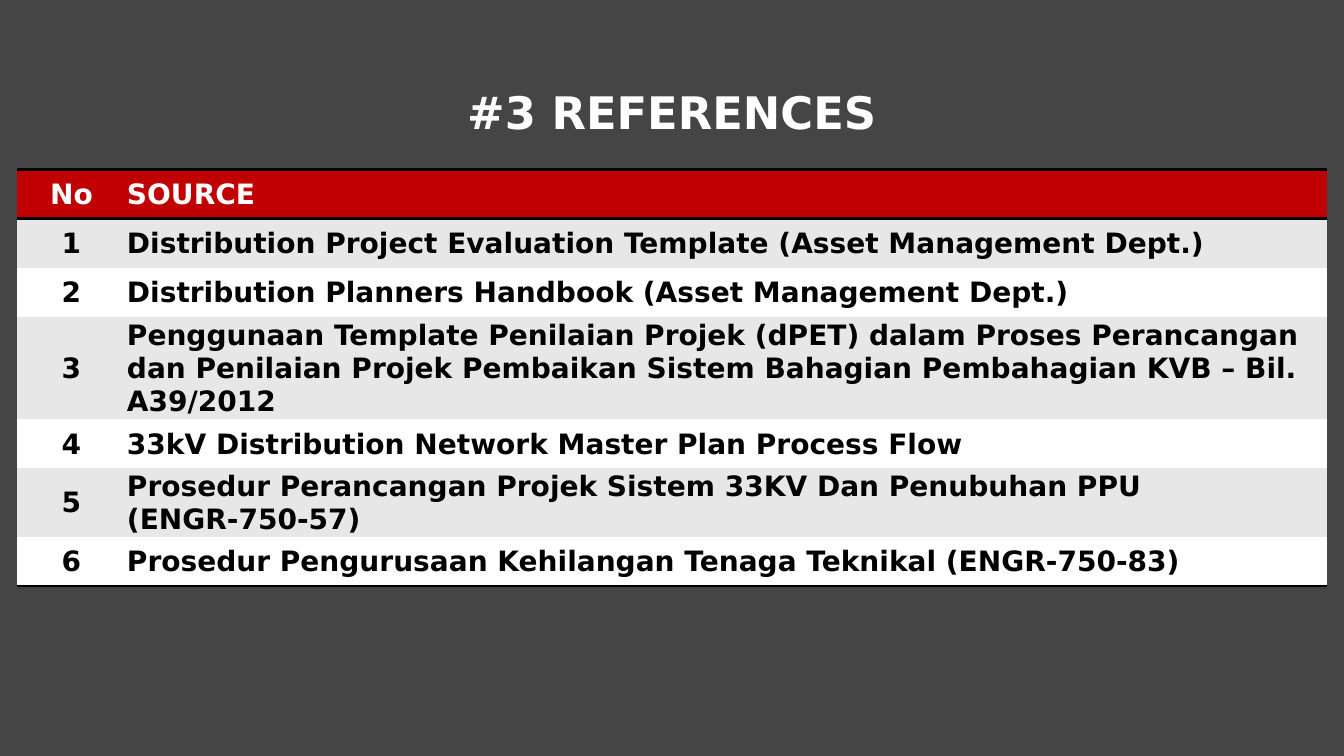
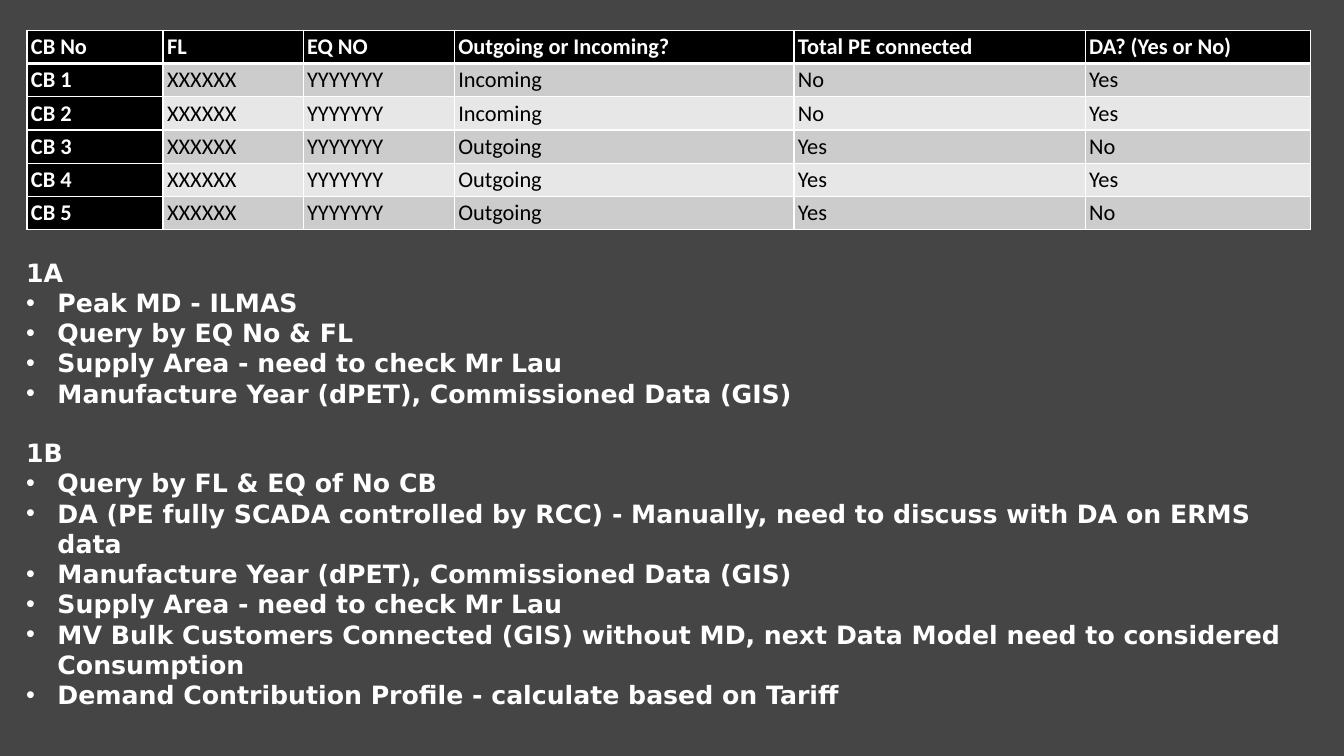
import pptx
import pptx.util
import pptx.dml.color
import pptx.enum.text
import lxml.etree

Cm, Pt = pptx.util.Cm, pptx.util.Pt
RGBColor = pptx.dml.color.RGBColor
MIDDLE = pptx.enum.text.MSO_ANCHOR.MIDDLE
TOP = pptx.enum.text.MSO_ANCHOR.TOP
LEFT = pptx.enum.text.PP_ALIGN.LEFT
CENTER = pptx.enum.text.PP_ALIGN.CENTER

CHARCOAL = RGBColor(0x45, 0x45, 0x45)
RED = RGBColor(0xC0, 0x00, 0x00)
BLACK = RGBColor(0x00, 0x00, 0x00)
WHITE = RGBColor(0xFF, 0xFF, 0xFF)
PALE = RGBColor(0xE7, 0xE7, 0xE7)
GREY = RGBColor(0xCC, 0xCC, 0xCC)
HEADING_FONT = "DejaVu Sans"
GRID_FONT = "Calibri"
A = "{http://schemas.openxmlformats.org/drawingml/2006/main}"
NO_GRID_STYLE = "{2D5ABB26-0587-4C30-8999-92F81FD0307C}"


def add_run(paragraph, text, font_name, size, color, bold=True):
    """Append one formatted run to a paragraph."""
    run = paragraph.add_run()
    run.text = text
    run.font.name = font_name
    run.font.size = Pt(size)
    run.font.color.rgb = color
    run.font.bold = bold


def style_cell(cell, fill, borders, border_color, margins, anchor):
    """Set a cell's borders (side to points, in L R T B order), fill and margins."""
    properties = cell._tc.get_or_add_tcPr()
    for side, points in borders.items():
        line = lxml.etree.SubElement(properties, A + "ln" + side, w=str(Pt(points)))
        solid = lxml.etree.SubElement(line, A + "solidFill")
        lxml.etree.SubElement(solid, A + "srgbClr", val=str(border_color))
    cell.fill.solid()
    cell.fill.fore_color.rgb = fill
    cell.margin_left = cell.margin_right = Cm(margins[0])
    cell.margin_top, cell.margin_bottom = Cm(margins[1]), Cm(margins[2])
    cell.vertical_anchor = anchor


deck = pptx.Presentation()
deck.slide_width, deck.slide_height = Cm(33.87), Cm(19.05)
deck.slide_master.background.fill.solid()
deck.slide_master.background.fill.fore_color.rgb = CHARCOAL
blank = deck.slide_layouts[6]

# References
references_slide = deck.slides.add_slide(blank)
title = references_slide.shapes.add_textbox(0, Cm(2.13), deck.slide_width, Cm(1.52)).text_frame
title.word_wrap = True
title.vertical_anchor = MIDDLE
title.paragraphs[0].alignment = CENTER
title.paragraphs[0].line_spacing = 0.9
add_run(title.paragraphs[0], "#3 REFERENCES", HEADING_FONT, 32, WHITE)

sources = [
    ["Distribution Project Evaluation Template (Asset Management Dept.)"],
    ["Distribution Planners Handbook (Asset Management Dept.)"],
    ["Penggunaan Template Penilaian Projek (dPET) dalam Proses Perancangan dan "
     "Penilaian Projek Pembaikan Sistem Bahagian Pembahagian KVB – Bil. A39/2012"],
    ["33kV Distribution Network Master Plan Process Flow"],
    ["Prosedur Perancangan Projek Sistem 33KV Dan Penubuhan PPU", "(ENGR-750-57)"],
    ["Prosedur Pengurusaan Kehilangan Tenaga Teknikal (ENGR-750-83)"],
]
reference_rows = [(["No"], ["SOURCE"])]
reference_rows += [([str(number)], lines) for number, lines in enumerate(sources, 1)]

# Circuit breakers
breaker_slide = deck.slides.add_slide(blank)
breaker_rows = [["CB No", "FL", "EQ NO", "Outgoing or Incoming?",
                 "Total PE connected", "DA? (Yes or No)"]]
feeders = [("Incoming", "No", "Yes"), ("Incoming", "No", "Yes"),
           ("Outgoing", "Yes", "No"), ("Outgoing", "Yes", "Yes"),
           ("Outgoing", "Yes", "No")]
for number, feeder in enumerate(feeders, 1):
    breaker_rows.append([f"CB {number}", "XXXXXX", "YYYYYYY", *feeder])

# Both tables: slide, rows, left, top, column widths, row height
reference_widths = [2.74, 30.28]
breaker_widths = [3.43, 3.53, 3.81, 8.56, 7.34, 5.67]
grids = []
for slide, rows, left, top, widths, height in [
    (references_slide, reference_rows, 0.43, 4.27, reference_widths, 1.24),
    (breaker_slide, breaker_rows, 0.68, 0.76, breaker_widths, 0.82),
]:
    frame = slide.shapes.add_table(len(rows), len(widths), Cm(left), Cm(top),
                                   Cm(sum(widths)), Cm(height * len(rows)))
    frame._element.find(f".//{A}tableStyleId").text = NO_GRID_STYLE
    for column, width in zip(frame.table.columns, widths):
        column.width = Cm(width)
    for row in frame.table.rows:
        row.height = Cm(height)
    grids.append(frame.table)
references, breakers = grids

for r, row in enumerate(reference_rows):
    header = r == 0
    fill = RED if header else PALE if r % 2 else WHITE
    borders = {"T": 2, "B": 2} if header else {"B": 2} if r == len(sources) else {}
    for c, lines in enumerate(row):
        cell = references.cell(r, c)
        style_cell(cell, fill, borders, BLACK, (0.03, 0.03, 0), MIDDLE)
        for i, line in enumerate(lines):
            paragraph = cell.text_frame.add_paragraph() if i else cell.text_frame.paragraphs[0]
            paragraph.alignment = LEFT if c else CENTER
            add_run(paragraph, line, HEADING_FONT, 20, WHITE if header else BLACK)

for r, row in enumerate(breaker_rows):
    borders = {"L": 1, "R": 1, "B": 1} if r else {"L": 1, "R": 1, "T": 1, "B": 3}
    for c, text in enumerate(row):
        label = r == 0 or c == 0
        fill = BLACK if label else GREY if r % 2 else PALE
        cell = breakers.cell(r, c)
        style_cell(cell, fill, borders, WHITE, (0.1, 0.08, 0.08), TOP)
        add_run(cell.text_frame.paragraphs[0], text, GRID_FONT, 16,
                WHITE if label else BLACK, label)

# Notes on the data, below the breaker table
data_notes = {
    "1A": ["Peak MD - ILMAS",
           "Query by EQ No & FL",
           "Supply Area - need to check Mr Lau",
           "Manufacture Year (dPET), Commissioned Data (GIS)"],
    "1B": ["Query by FL & EQ of No CB",
           "DA (PE fully SCADA controlled by RCC) - Manually, need to discuss "
           "with DA on ERMS data",
           "Manufacture Year (dPET), Commissioned Data (GIS)",
           "Supply Area - need to check Mr Lau",
           "MV Bulk Customers Connected (GIS) without MD, next Data Model need "
           "to considered Consumption",
           "Demand Contribution Profile - calculate based on Tariff"],
}
notes = breaker_slide.shapes.add_textbox(Cm(0.41), Cm(6.35), Cm(33.02), Cm(11.79)).text_frame
notes.word_wrap = True
for section, (heading, items) in enumerate(data_notes.items()):
    paragraph = notes.add_paragraph() if section else notes.paragraphs[0]
    if section:
        paragraph.space_before = Pt(21)
    add_run(paragraph, heading, HEADING_FONT, 18, WHITE)
    for item in items:
        paragraph = notes.add_paragraph()
        properties = paragraph._p.get_or_add_pPr()
        properties.set("marL", str(Cm(0.79)))
        properties.set("indent", str(-Cm(0.79)))
        lxml.etree.SubElement(properties, A + "buFont", typeface="Arial")
        lxml.etree.SubElement(properties, A + "buChar", char="•")
        add_run(paragraph, item, HEADING_FONT, 18, WHITE)

deck.save("out.pptx")
